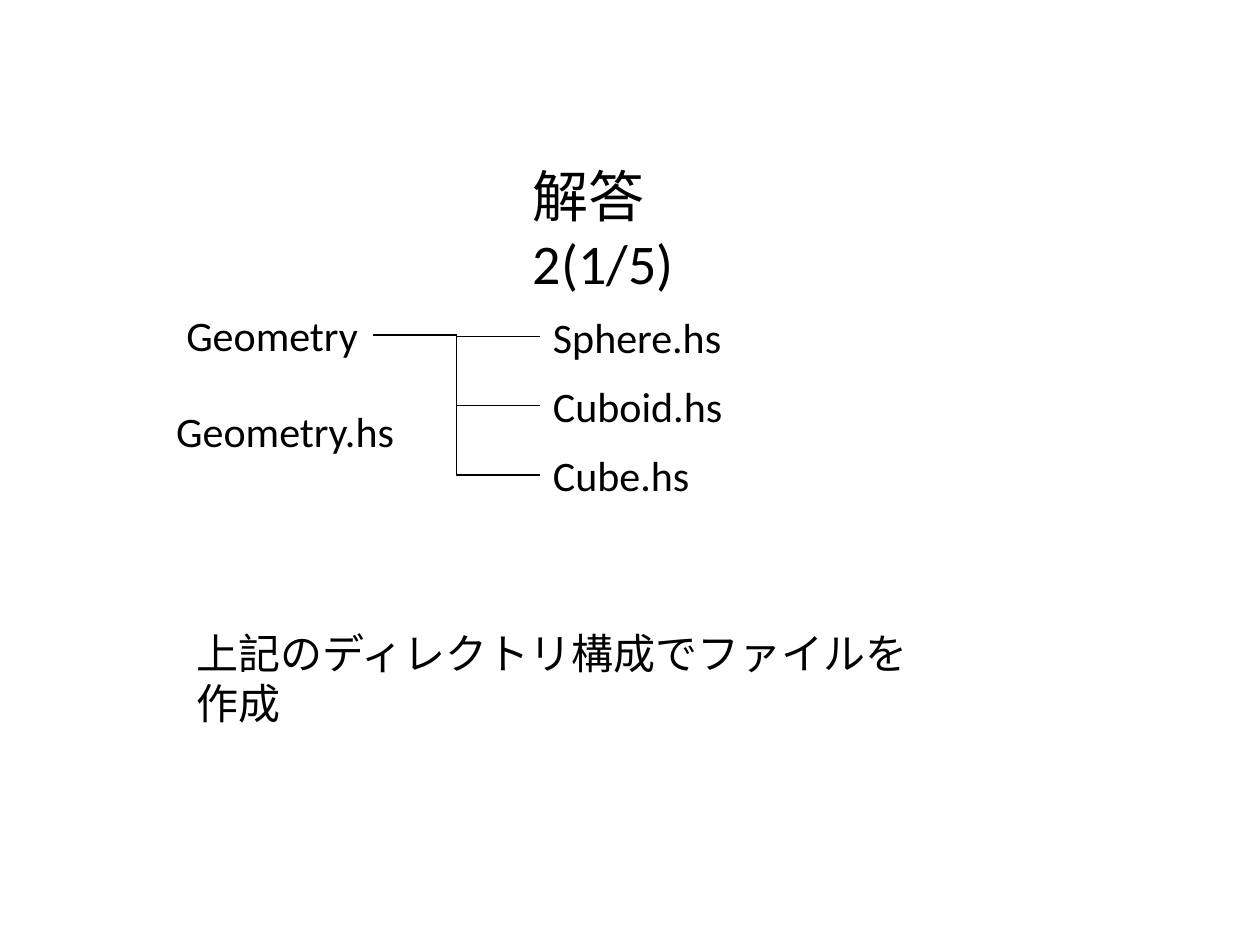
from lxml import etree
from pptx import Presentation
from pptx import util as u
from pptx.dml.color import RGBColor
from pptx.enum import shapes, text
from pptx.oxml.ns import qn

COLORS = {"ink": "000000", "paper": "FFFFFF"}
FONT = "Calibri"
WIDTH, HEIGHT = 10, 7.5
COLUMNS = {"folder": 1.38, "module": 1.3, "branch": 2.96, "file": 4.29, "title": 4.13, "note": 1.46}
FILE_TOP, FILE_PITCH, ROW_HEIGHT = 2.42, 0.55, 0.5
FOLDER_TOP = 2.41
FILES = [("Sphere.hs", 1.55), ("Cuboid.hs", 1.56), ("Cube.hs", 1.3)]


def set_text(frame, wording, size=24, color="ink", wrap=False):
    frame.word_wrap = wrap
    frame.auto_size = text.MSO_AUTO_SIZE.SHAPE_TO_FIT_TEXT
    frame.vertical_anchor = text.MSO_ANCHOR.TOP
    paragraph = frame.paragraphs[0]
    paragraph.alignment = text.PP_ALIGN.LEFT
    run = paragraph.add_run()
    run.text = wording
    run.font.size = u.Pt(size)
    run.font.name = FONT
    run.font.color.rgb = RGBColor.from_string(COLORS[color])


def add_label(slide, wording, column, top, width, **style):
    label = slide.shapes.add_textbox(
        u.Inches(COLUMNS[column]), u.Inches(top), u.Inches(width), u.Inches(ROW_HEIGHT))
    set_text(label.text_frame, wording, **style)


def place_title(slide, wording):
    title = slide.shapes.title
    title.left, title.top = u.Inches(COLUMNS["title"]), u.Inches(1.23)
    title.width, title.height = u.Inches(2.23), u.Inches(0.64)
    title.text_frame.margin_right = u.Inches(0.25)
    set_text(title.text_frame, wording, size=32, wrap=True)


def add_branch(slide, start, end):
    branch = slide.shapes.add_connector(
        shapes.MSO_CONNECTOR.ELBOW,
        u.Inches(COLUMNS["branch"]), u.Inches(start),
        u.Inches(COLUMNS["file"]), u.Inches(end))
    branch.line.color.rgb = RGBColor.from_string(COLORS["ink"])
    branch.line.width = u.Pt(0.75)
    etree.SubElement(branch._element.spPr, qn("a:effectLst"))


def add_files(slide):
    for row, (name, width) in enumerate(FILES):
        top = FILE_TOP + row * FILE_PITCH
        add_label(slide, name, "file", top, width)
        add_branch(slide, FOLDER_TOP + ROW_HEIGHT / 2, top + ROW_HEIGHT / 2)


def main():
    deck = Presentation()
    deck.slide_width, deck.slide_height = u.Inches(WIDTH), u.Inches(HEIGHT)
    slide = deck.slides.add_slide(deck.slide_layouts[5])
    slide.background.fill.solid()
    slide.background.fill.fore_color.rgb = RGBColor.from_string(COLORS["paper"])
    place_title(slide, "解答2(1/5)")
    add_label(slide, "Geometry", "folder", FOLDER_TOP, 1.58)
    add_label(slide, "Geometry.hs", "module", 3.17, 1.95, wrap=True)
    add_files(slide)
    add_label(slide, "上記のディレクトリ構成でファイルを作成", "note", 4.93, 5.96, wrap=True)
    deck.save("out.pptx")


main()
